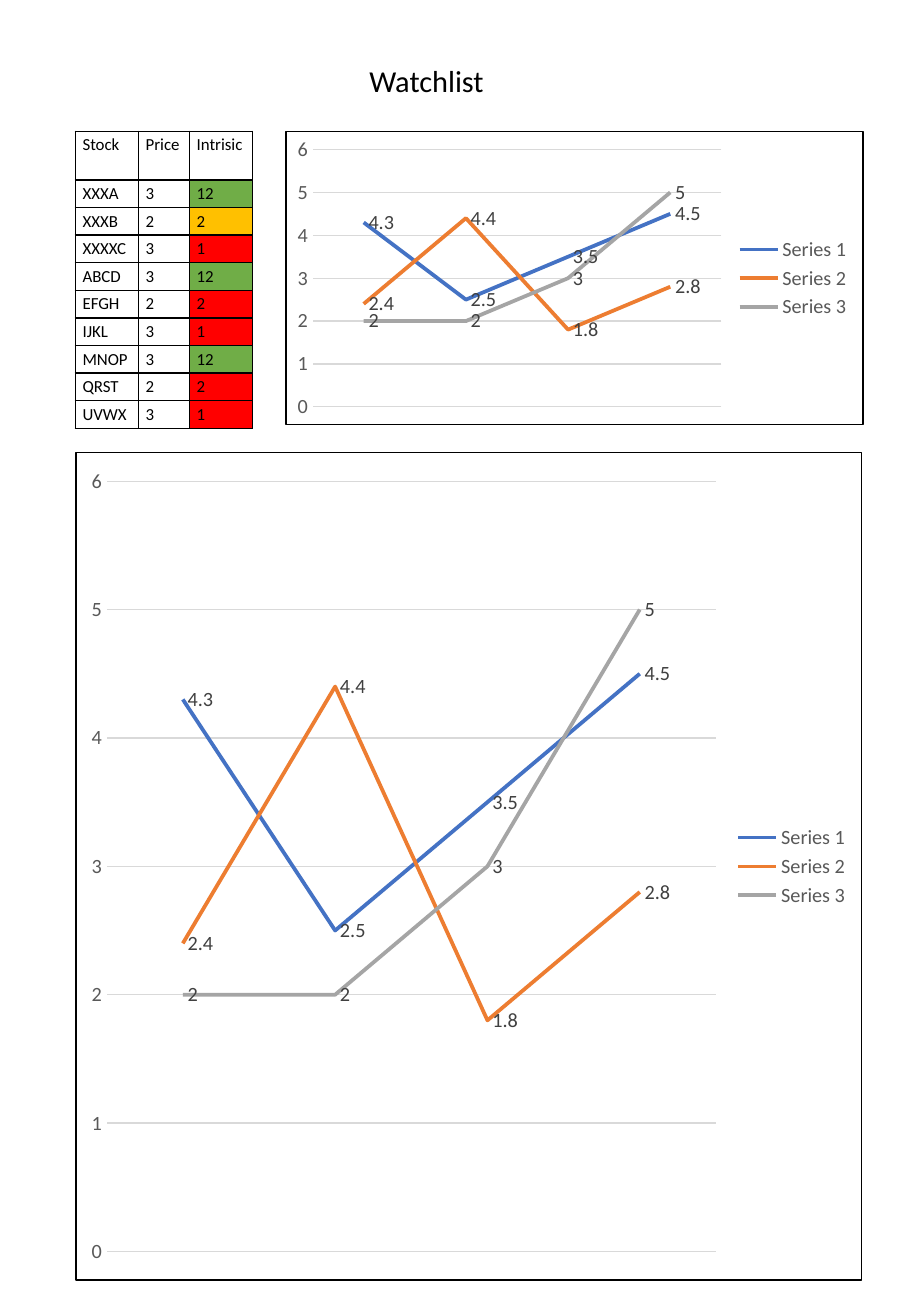
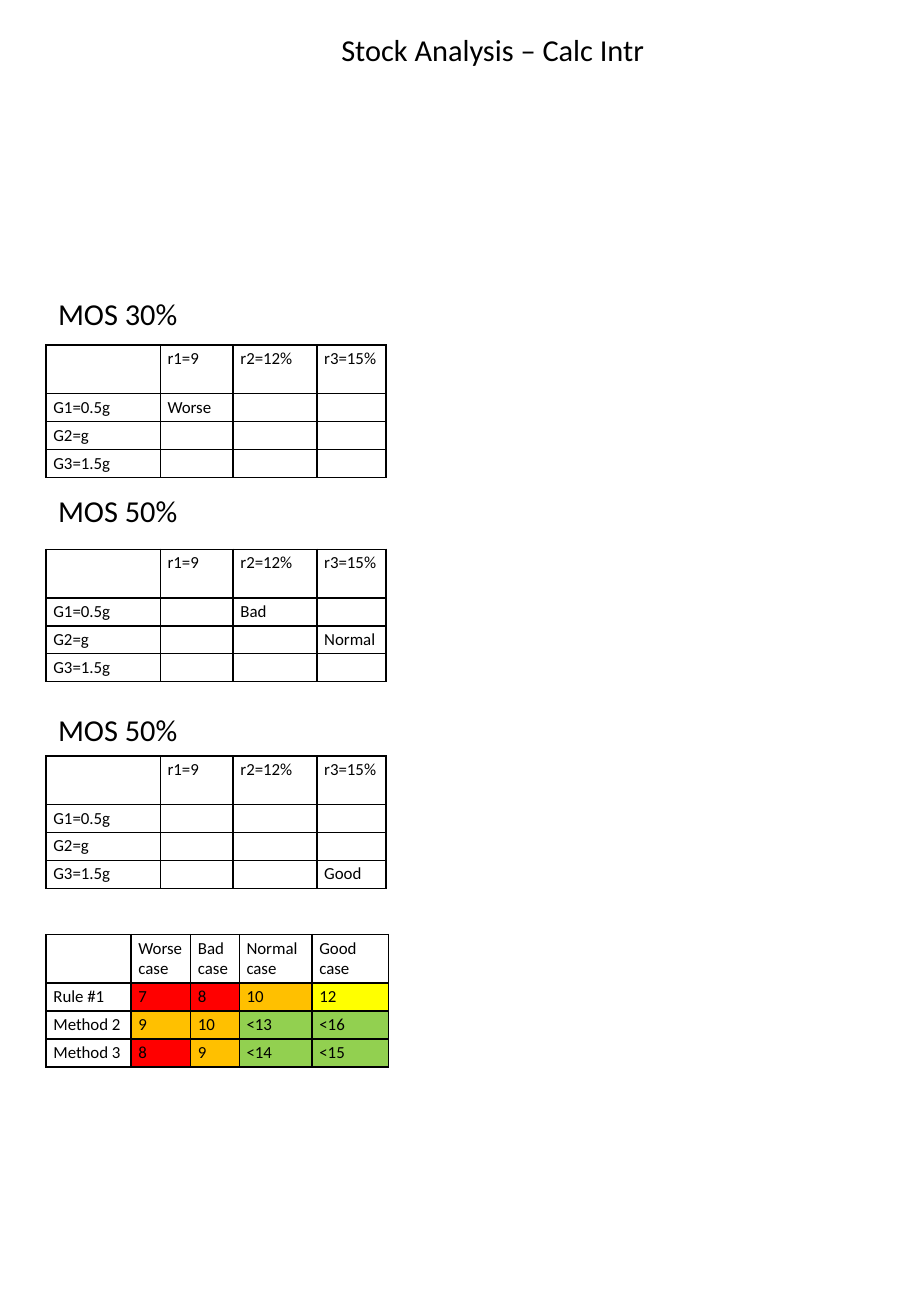
from lxml.etree import SubElement
from pptx import Presentation
from pptx.chart.data import CategoryChartData
from pptx.dml.color import RGBColor
from pptx.enum.chart import (XL_CHART_TYPE as ChartType, XL_LABEL_POSITION as LabelPosition,
                             XL_LEGEND_POSITION as LegendPosition, XL_TICK_MARK as TickMark)
from pptx.enum.text import MSO_ANCHOR as Anchor, MSO_AUTO_SIZE as AutoSize, PP_ALIGN as Align
from pptx.oxml import parse_xml
from pptx.oxml.ns import nsdecls, qn
from pptx.util import Emu, Inches, Pt

# Grid: square cells, 75 columns by 108.3 rows
CELL = Inches(0.1)
COLUMNS, ROWS = 75, 108.3

FONT = "Calibri"
BLACK = RGBColor(0x00, 0x00, 0x00)
AXIS_GREY = RGBColor(0x59, 0x59, 0x59)
LABEL_GREY = RGBColor(0x40, 0x40, 0x40)
GRID_GREY = RGBColor(0xD9, 0xD9, 0xD9)
RED = RGBColor(0xFF, 0x00, 0x00)
AMBER = RGBColor(0xFF, 0xC0, 0x00)
YELLOW = RGBColor(0xFF, 0xFF, 0x00)
LIME = RGBColor(0x92, 0xD0, 0x50)
GREEN = RGBColor(0x70, 0xAD, 0x47)
SERIES_COLORS = (RGBColor(0x44, 0x72, 0xC4), RGBColor(0xED, 0x7D, 0x31),
                 RGBColor(0xA5, 0xA5, 0xA5))


def cells(count):
    """Length of a number of grid cells."""
    return Emu(round(count * CELL))


def set_font(font, size, color=BLACK):
    font.name, font.size, font.bold = FONT, Pt(size), False
    font.color.rgb = color


class Report:
    HEADING_WIDTH, HEADING_HEIGHT = 50.3, 4
    HEADER_ROW = 4

    def __init__(self):
        self.deck = Presentation()
        self.deck.slide_width, self.deck.slide_height = cells(COLUMNS), cells(ROWS)
        self.page = None

    def add_page(self, title, left, top):
        self.page = self.deck.slides.add_slide(self.deck.slide_layouts[5])
        self.format_heading(self.page.shapes.title, title, left, top)

    def add_heading(self, text, left, top):
        self.format_heading(self.page.shapes.add_textbox(0, 0, 0, 0), text, left, top)

    def format_heading(self, box, text, left, top):
        box.left, box.top = cells(left), cells(top)
        box.width = cells(min(self.HEADING_WIDTH, COLUMNS - left))
        box.height = cells(self.HEADING_HEIGHT)
        frame = box.text_frame
        frame.word_wrap, frame.auto_size = True, AutoSize.SHAPE_TO_FIT_TEXT
        frame.vertical_anchor = Anchor.TOP
        frame.text = text
        para = frame.paragraphs[0]
        para.alignment = Align.LEFT
        set_font(para.font, 18)

    def add_table(self, left, top, widths, rows, row_height=2.3, fills=None):
        """Fills maps (row, column) to a colour."""
        heights = [self.HEADER_ROW] + [row_height] * (len(rows) - 1)
        table = self.page.shapes.add_table(
            len(rows), len(widths), cells(left), cells(top),
            cells(sum(widths)), cells(sum(heights))).table
        table.first_row = table.horz_banding = False
        for column, width in zip(table.columns, widths):
            column.width = cells(width)
        for row, height in zip(table.rows, heights):
            row.height = cells(height)
        for r, texts in enumerate(rows):
            for c, text in enumerate(texts):
                self.format_cell(table.cell(r, c), text, (fills or {}).get((r, c)))

    def format_cell(self, cell, text, fill):
        cell.margin_left = cell.margin_right = cells(0.6)
        cell.margin_top = cell.margin_bottom = cells(0.3)
        cell.text = text
        for para in cell.text_frame.paragraphs:
            set_font(para.font, 10)
            if not text:  # keeps empty rows low
                SubElement(para._p, qn("a:endParaRPr"), sz="1000")
        # Borders come before the fill in the cell properties
        properties = cell._tc.get_or_add_tcPr()
        for side in ("lnL", "lnR", "lnT", "lnB"):
            properties.append(parse_xml(
                f'<a:{side} {nsdecls("a")} w="{Pt(1)}"><a:solidFill>'
                f'<a:srgbClr val="{BLACK}"/></a:solidFill></a:{side}>'))
        if fill is None:
            cell.fill.background()
        else:
            cell.fill.solid()
            cell.fill.fore_color.rgb = fill

    def add_line_chart(self, left, top, width, height, categories, series):
        data = CategoryChartData()
        data.categories = categories
        for name, values in series.items():
            data.add_series(name, values)
        chart = self.page.shapes.add_chart(
            ChartType.LINE, cells(left), cells(top), cells(width), cells(height), data).chart
        chart.has_title = False
        set_font(chart.font, 10)

        # Frame around the chart
        chart._chartSpace.find(qn("c:chart")).addnext(parse_xml(
            f'<c:spPr {nsdecls("c", "a")}><a:noFill/><a:ln w="{Pt(0.75)}"><a:solidFill>'
            f'<a:srgbClr val="{BLACK}"/></a:solidFill></a:ln></c:spPr>'))

        # Legend and axes
        chart.has_legend = True
        chart.legend.position = LegendPosition.RIGHT
        chart.legend.include_in_layout = False
        set_font(chart.legend.font, 12, AXIS_GREY)
        chart.category_axis.visible = False
        axis = chart.value_axis
        axis.minimum_scale, axis.maximum_scale, axis.major_unit = 0, 6, 1
        axis.major_tick_mark = axis.minor_tick_mark = TickMark.NONE
        axis.format.line.fill.background()
        grid_line = axis.major_gridlines.format.line
        grid_line.color.rgb, grid_line.width = GRID_GREY, Pt(0.75)
        set_font(axis.tick_labels.font, 12, AXIS_GREY)

        # Lines and their values
        chart.plots[0].vary_by_categories = False
        for line, color in zip(chart.series, SERIES_COLORS):
            line.smooth = False
            line.format.line.color.rgb, line.format.line.width = color, Pt(2.25)
            labels = line.data_labels
            labels.show_value, labels.position = True, LabelPosition.RIGHT
            set_font(labels.font, 12, LABEL_GREY)


def build_watchlist(report):
    report.add_page("Watchlist", 29.4, 4.6)
    stocks = ("XXXA", "XXXB", "XXXXC", "ABCD", "EFGH", "IJKL", "MNOP", "QRST", "UVWX")
    rows = [("Stock", "Price", "Intrisic")]
    fills = {}
    # Prices and values repeat every three stocks
    for i, stock in enumerate(stocks):
        price, value, color = (("3", "12", GREEN), ("2", "2", RED), ("3", "1", RED))[i % 3]
        rows.append((stock, price, value))
        fills[i + 1, 2] = color
    fills[2, 2] = AMBER
    report.add_table(6.2, 10.8, (5.2, 4.2, 5.2), rows, row_height=2.25, fills=fills)

    series = {"Series 1": (4.3, 2.5, 3.5, 4.5),
              "Series 2": (2.4, 4.4, 1.8, 2.8),
              "Series 3": (2, 2, 3, 5)}
    for place in ((23.5, 10.8, 47.6, 24.2), (6.2, 37.2, 64.8, 68.2)):
        report.add_line_chart(*place, ("1", "2", "3", "4"), series)


def build_analysis(report):
    report.add_page("Stock Analysis – Calc Intr", 27.1, 2.1)
    left = 3.8

    # Growth by return, one table per margin of safety
    for heading, heading_top, table_top, cases in (
            ("MOS 30%", 23.8, 28.4, {(1, 1): "Worse"}),
            ("MOS 50%", 40, 45.2, {(1, 2): "Bad", (2, 3): "Normal"}),
            ("MOS 50%", 58, 62.2, {(3, 3): "Good"})):
        report.add_heading(heading, left, heading_top)
        rows = [("", "r1=9", "r2=12%", "r3=15%")]
        for r, growth in enumerate(("G1=0.5g", "G2=g", "G3=1.5g"), start=1):
            rows.append([growth] + [cases.get((r, c), "") for c in (1, 2, 3)])
        report.add_table(left, table_top, (9.4, 6, 6.9, 5.7), rows)

    # Methods by case
    rows = (("", "Worse\ncase", "Bad case", "Normal case", "Good case"),
            ("Rule #1", "7", "8", "10", "12"),
            ("Method 2", "9", "10", "<13", "<16"),
            ("Method 3", "8", "9", "<14", "<15"))
    colors = ((RED, RED, AMBER, YELLOW),
              (AMBER, AMBER, LIME, LIME),
              (RED, AMBER, LIME, LIME))
    fills = {(r, c): color for r, line in enumerate(colors, start=1)
             for c, color in enumerate(line, start=1)}
    report.add_table(left, 76.9, (7, 4.9, 4, 6, 6.3), rows, fills=fills)


def main():
    report = Report()
    build_watchlist(report)
    build_analysis(report)
    report.deck.save("out.pptx")


if __name__ == "__main__":
    main()
